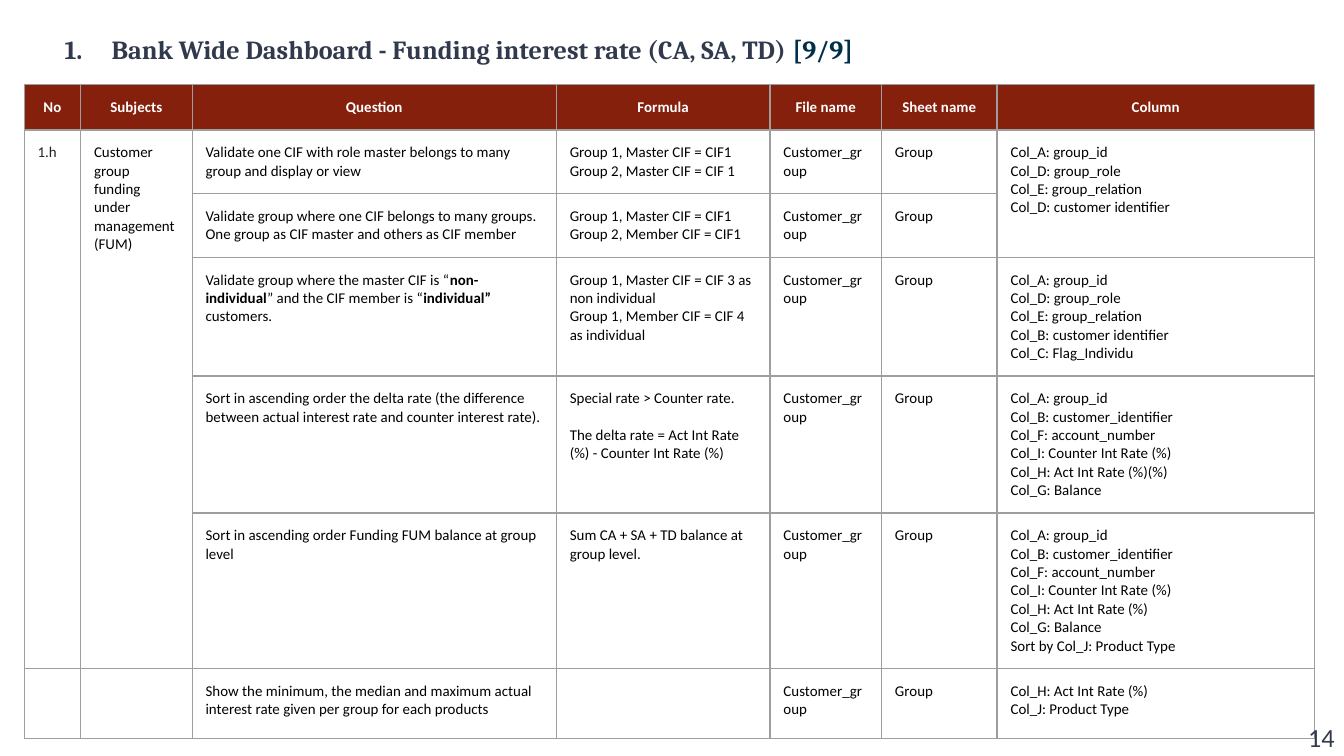
from dataclasses import dataclass

from lxml.etree import SubElement
from pptx import Presentation
from pptx.dml.color import RGBColor
from pptx.enum.text import MSO_ANCHOR as Anchor, PP_ALIGN as Align
from pptx.oxml.ns import qn
from pptx.util import Inches, Pt

MAROON = RGBColor(0x85, 0x20, 0x0C)
WHITE = RGBColor(0xFF, 0xFF, 0xFF)
BLACK = RGBColor(0, 0, 0)
CHARCOAL = RGBColor(0x22, 0x22, 0x22)
BORDER = RGBColor(0x9E, 0x9E, 0x9E)
SLATE = RGBColor(0x31, 0x39, 0x4D)
NAVY = RGBColor(0x00, 0x2F, 0x4A)

HEADERS = ("No", "Subjects", "Question", "Formula", "File name", "Sheet name", "Column")
COLUMN_WIDTHS = (0.42, 0.83, 2.71, 1.59, 0.83, 0.86, 2.36)
ROW_HEIGHTS = (0.27, 0.36, 0.39, 0.57, 0.57, 0.52, 0.52)  # rows grow with their text
FILE_NAME, SHEET_NAME = "Customer_group", "Group"

ID, ROLE, RELATION = "Col_A: group_id", "Col_D: group_role", "Col_E: group_relation"
CUSTOMER, ACCOUNT = "Col_B: customer_identifier", "Col_F: account_number"
COUNTER_RATE, ACT_RATE = "Col_I: Counter Int Rate (%)", "Col_H: Act Int Rate (%)"
BALANCE = "Col_G: Balance"


@dataclass
class Check:
    """One validation row; odd parts of the question are bold."""
    question: tuple[str, ...]
    formula: tuple[str, ...] = ()
    columns: tuple[str, ...] = ()
    formula_gap: float = 0


CHECKS = (
    Check(("Validate one CIF with role master belongs to many group and display or view",),
          ("Group 1, Master CIF = CIF1", "Group 2, Master CIF = CIF 1"),
          (ID, ROLE, RELATION, "Col_D: customer identifier")),
    Check(("Validate group where one CIF belongs to many groups. "
           "One group as CIF master and others as CIF member",),
          ("Group 1, Master CIF = CIF1", "Group 2, Member CIF = CIF1")),
    Check(("Validate group where the master CIF is “", "non-individual",
           "” and the CIF member is “", "individual” ", "customers."),
          ("Group 1, Master CIF = CIF 3 as non individual",
           "Group 1, Member CIF = CIF 4 as individual"),
          (ID, ROLE, RELATION, "Col_B: customer identifier", "Col_C: Flag_Individu")),
    Check(("Sort in ascending order the delta rate (the difference between "
           "actual interest rate and counter interest rate).",),
          ("Special rate > Counter rate.",
           "The delta rate = Act Int Rate (%) - Counter Int Rate (%)"),
          (ID, CUSTOMER, ACCOUNT, COUNTER_RATE, ACT_RATE + "(%)", BALANCE),
          formula_gap=9.8),
    Check(("Sort in ascending order Funding FUM balance at group level",),
          ("Sum CA + SA + TD balance at group level.",),
          (ID, CUSTOMER, ACCOUNT, COUNTER_RATE, ACT_RATE, BALANCE,
           "Sort by Col_J: Product Type")),
    Check(("Show the minimum, the median and maximum actual interest rate "
           "given per group for each products",),
          columns=(ACT_RATE, "Col_J: Product Type")),
)


def add_text(paragraph, text: str, *, size: float = 8, font: str = "Calibri",
             color: RGBColor = BLACK, bold: bool = False, align=Align.LEFT) -> None:
    paragraph.alignment = align
    run = paragraph.add_run()
    run.text = text
    run.font.size, run.font.name = Pt(size), font
    run.font.color.rgb, run.font.bold = color, bold


def style_cell(cell, fill: RGBColor) -> None:
    cell.margin_left = cell.margin_right = Inches(0.1)
    cell.margin_top = cell.margin_bottom = Inches(0.1)
    cell.vertical_anchor = Anchor.TOP
    properties = cell._tc.get_or_add_tcPr()
    for side in ("a:lnL", "a:lnR", "a:lnT", "a:lnB"):
        line = SubElement(properties, qn(side), w=str(Pt(0.75)))
        SubElement(SubElement(line, qn("a:solidFill")), qn("a:srgbClr"), val=str(BORDER))
    cell.fill.solid()
    cell.fill.fore_color.rgb = fill


def write_lines(cell, lines: tuple[str, ...], gap: float = 0, **text_format) -> None:
    frame = cell.text_frame
    for index, line in enumerate(lines):
        paragraph = frame.add_paragraph() if index else frame.paragraphs[0]
        if index and gap:
            paragraph.space_before = Pt(gap)
        add_text(paragraph, line, **text_format)


def add_check_table(slide) -> None:
    table = slide.shapes.add_table(
        len(ROW_HEIGHTS), len(COLUMN_WIDTHS), Inches(0.18), Inches(0.63),
        Inches(sum(COLUMN_WIDTHS)), Inches(sum(ROW_HEIGHTS))).table
    table.horz_banding = False
    for column, width in zip(table.columns, COLUMN_WIDTHS):
        column.width = Inches(width)
    for index, (row, height) in enumerate(zip(table.rows, ROW_HEIGHTS)):
        row.height = Inches(height)
        for cell in row.cells:
            style_cell(cell, WHITE if index else MAROON)

    # Header row
    for cell, header in zip(table.rows[0].cells, HEADERS):
        write_lines(cell, (header,), color=WHITE, bold=True, align=Align.CENTER)

    # Cells that span several checks
    table.cell(1, 0).merge(table.cell(5, 0))
    table.cell(1, 1).merge(table.cell(5, 1))
    table.cell(1, 6).merge(table.cell(2, 6))
    write_lines(table.cell(1, 0), ("1.h",), color=CHARCOAL)
    write_lines(table.cell(1, 1), ("Customer group funding under management (FUM)",))

    # One row per check
    for row, check in enumerate(CHECKS, start=1):
        question = table.cell(row, 2).text_frame.paragraphs[0]
        for part, text in enumerate(check.question):
            add_text(question, text, bold=part % 2 == 1)
        write_lines(table.cell(row, 3), check.formula, gap=check.formula_gap)
        write_lines(table.cell(row, 4), (FILE_NAME,))
        write_lines(table.cell(row, 5), (SHEET_NAME,))
        write_lines(table.cell(row, 6), check.columns)


def set_margins(frame) -> None:
    frame.word_wrap = True
    frame.margin_left = frame.margin_right = Inches(0.07)
    frame.margin_top = frame.margin_bottom = Inches(0.04)


def add_title(slide) -> None:
    title = slide.shapes.title
    title.left, title.top = Inches(0.26), Inches(0.15)
    title.width, title.height = Inches(9.44), Inches(0.46)
    frame = title.text_frame
    set_margins(frame)
    frame.vertical_anchor = Anchor.MIDDLE
    heading = frame.paragraphs[0]
    properties = heading._p.get_or_add_pPr()
    properties.set("marL", str(Inches(0.5)))
    properties.set("indent", str(Inches(-0.35)))
    SubElement(SubElement(properties, qn("a:buClr")), qn("a:srgbClr"), val=str(SLATE))
    SubElement(properties, qn("a:buFont"), typeface="Cambria")
    SubElement(properties, qn("a:buAutoNum"), type="arabicPeriod")
    heading.line_spacing = 0.9
    for text, color in (
            ("Bank Wide Dashboard - Funding interest rate (CA, SA, TD) ", SLATE),
            ("[9/9]", NAVY)):
        add_text(heading, text, size=14, font="Cambria", color=color, bold=True)


def add_page_number(slide) -> None:
    page_number = slide.shapes.add_textbox(
        Inches(7.28), Inches(5.33), Inches(2.72), Inches(0.3)).text_frame
    set_margins(page_number)
    add_text(page_number.paragraphs[0], "14", size=14, color=SLATE, align=Align.RIGHT)


def main() -> None:
    deck = Presentation()
    # Widescreen, 16:9
    deck.slide_width = Inches(10)
    deck.slide_height = deck.slide_width * 9 // 16
    slide = deck.slides.add_slide(deck.slide_layouts[5])
    add_check_table(slide)
    add_page_number(slide)
    add_title(slide)
    deck.save("out.pptx")


if __name__ == "__main__":
    main()
